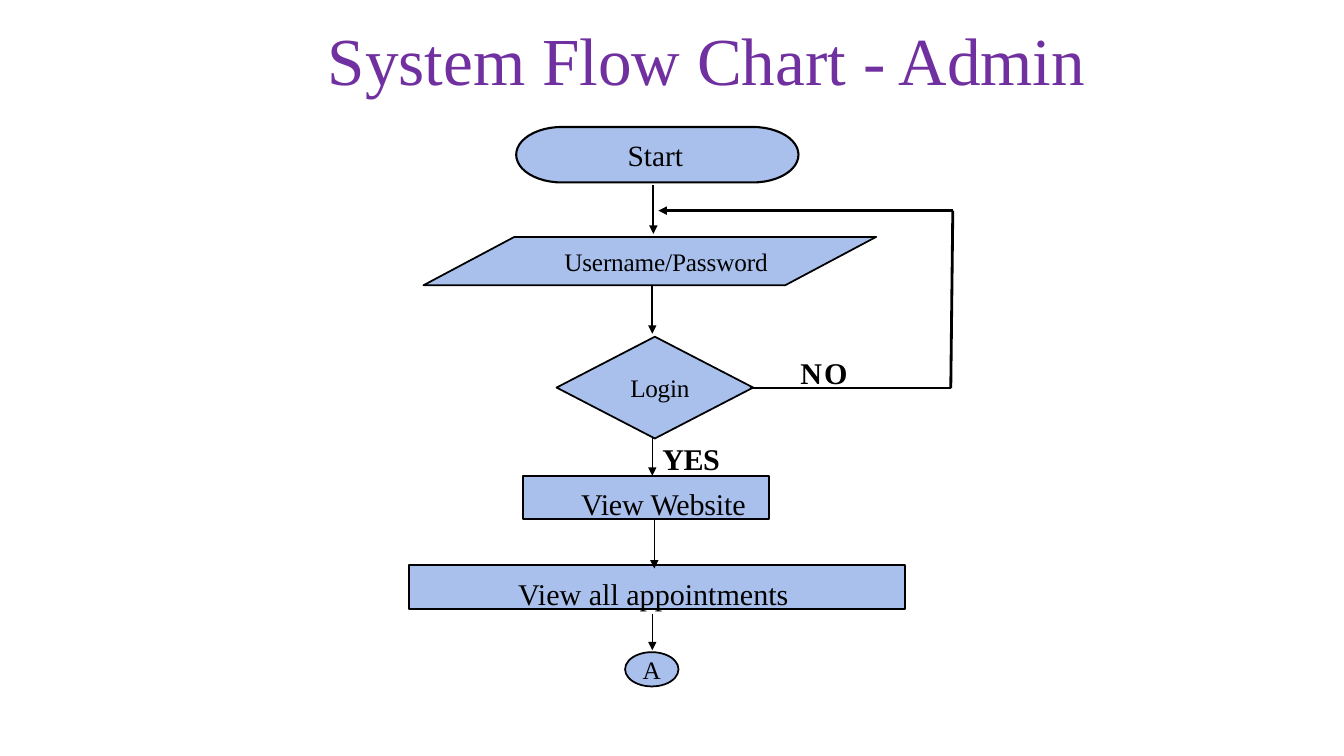
"""Draws the admin system flow chart on a grid of 0.1 inch cells."""
import dataclasses

import lxml.etree
import pptx
import pptx.dml.color
import pptx.enum.shapes
import pptx.enum.text
import pptx.oxml.ns
import pptx.util

COLUMNS, ROWS = 133.3, 75
SLIDE_WIDTH, SLIDE_HEIGHT = pptx.util.Inches(13.33), pptx.util.Inches(7.5)
SHAPES = pptx.enum.shapes.MSO_SHAPE
ALIGN = pptx.enum.text.PP_ALIGN
ANCHOR = pptx.enum.text.MSO_ANCHOR
qn = pptx.oxml.ns.qn


@dataclasses.dataclass(frozen=True)
class Theme:
    font: str = "Times New Roman"
    title: str = "7030A0"
    ink: str = "000000"
    node: str = "A9C0EC"
    title_size: float = 48
    large: float = 21.5
    start: float = 21
    small: float = 18
    outline: float = 1.5
    thin_outline: float = 1.25
    flow: float = 0.75
    hairline: float = 0


THEME = Theme()


def column(count):
    return round(SLIDE_WIDTH * count / COLUMNS)


def row(count):
    return round(SLIDE_HEIGHT * count / ROWS)


def apply(target, formats):
    for name, value in formats.items():
        setattr(target, name, value)


def color(code):
    return pptx.dml.color.RGBColor.from_string(code)


def write(frame, words, size, ink=THEME.ink, bold=False, spacing=0,
          align=ALIGN.CENTER, anchor=ANCHOR.MIDDLE, insets=(0, 0, 0), wrap=False):
    left, top, right = insets
    apply(frame, {
        "word_wrap": wrap, "auto_size": pptx.enum.text.MSO_AUTO_SIZE.NONE,
        "vertical_anchor": anchor, "margin_left": column(left),
        "margin_top": row(top), "margin_right": column(right), "margin_bottom": 0,
    })
    paragraph = frame.paragraphs[0]
    paragraph.alignment = align
    run = paragraph.add_run()
    run.text = words
    apply(run.font, {"name": THEME.font, "size": pptx.util.Pt(size), "bold": bold})
    run.font.color.rgb = color(ink)
    if spacing:
        run.font._element.set("spc", str(round(spacing * 100)))


def add_title(slide, words, box):
    left, top, width, height = box
    title = slide.shapes.title
    apply(title, {"left": column(left), "top": row(top),
                  "width": column(width), "height": row(height)})
    write(title.text_frame, words, THEME.title_size, THEME.title, align=ALIGN.LEFT,
          anchor=ANCHOR.TOP, insets=(1, 0.5, 1), wrap=True)


def add_node(slide, kind, box, words, size, outline, slant=None, **text_format):
    left, top, width, height = box
    node = slide.shapes.add_shape(kind, column(left), row(top), column(width), row(height))
    node.shadow.inherit = False
    node.fill.solid()
    node.fill.fore_color.rgb = color(THEME.node)
    node.line.color.rgb = color(THEME.ink)
    node.line.width = pptx.util.Pt(outline)
    if slant:
        node.adjustments[0] = slant
    write(node.text_frame, words, size, **text_format)


def add_branch_label(slide, words, box, spacing):
    left, top, width, height = box
    label = slide.shapes.add_textbox(column(left), row(top), column(width), row(height))
    write(label.text_frame, words, THEME.large, bold=True, spacing=spacing,
          align=ALIGN.LEFT, anchor=ANCHOR.TOP, insets=(0.1, 0.35, 0))


def add_flow(slide, start, end, weight, arrow=True):
    flow = slide.shapes.add_connector(
        pptx.enum.shapes.MSO_CONNECTOR.STRAIGHT,
        column(start[0]), row(start[1]), column(end[0]), row(end[1]))
    flow.line.color.rgb = color(THEME.ink)
    flow.line.width = pptx.util.Pt(weight)
    if arrow:
        line = flow.line._get_or_add_ln()
        lxml.etree.SubElement(line, qn("a:tailEnd"), type="triangle")
    lxml.etree.SubElement(flow._element.spPr, qn("a:effectLst"))


def main():
    deck = pptx.Presentation()
    apply(deck, {"slide_width": SLIDE_WIDTH, "slide_height": SLIDE_HEIGHT})
    slide = deck.slides.add_slide(deck.slide_layouts[5])
    add_title(slide, "System Flow Chart - Admin", (31.5, 1.3, 84.6, 8.6))

    add_node(slide, SHAPES.FLOWCHART_TERMINATOR, (51.2, 12.6, 28, 5.5), "Start",
             THEME.start, THEME.outline, insets=(0, 0, 0.4))
    add_node(slide, SHAPES.PARALLELOGRAM, (42, 23.5, 44.9, 4.8), "Username/Password",
             THEME.small, THEME.thin_outline, slant=1.88, spacing=-0.1, insets=(3.2, 0, 0))
    add_node(slide, SHAPES.DIAMOND, (55.2, 33.4, 19.5, 10.1), "Login",
             THEME.small, THEME.thin_outline, spacing=-0.2, insets=(1, 0, 0))
    step = {"size": THEME.large, "outline": THEME.outline, "anchor": ANCHOR.TOP}
    add_node(slide, SHAPES.RECTANGLE, (51.9, 47.2, 24.4, 4.3), "View Website",
             spacing=-0.1, insets=(3.4, 1, 0), **step)
    add_node(slide, SHAPES.RECTANGLE, (40.6, 56.1, 49.2, 4.3), "View all appointments",
             insets=(0, 1, 0.8), **step)
    add_node(slide, SHAPES.OVAL, (62, 64.7, 5.3, 3.4), "A",
             THEME.small, THEME.thin_outline, spacing=-0.5)

    for across, top, bottom, weight in (
            (64.8, 18.4, 23.2, THEME.outline), (64.7, 28.3, 33.1, THEME.outline),
            (64.7, 43.5, 47.2, THEME.flow), (64.9, 51.5, 56.4, THEME.flow),
            (64.7, 60.9, 64.5, THEME.flow)):
        add_flow(slide, (across, top), (across, bottom), weight)

    retry = [(74.4, 38.5), (94.3, 38.5), (94.5, 20.9), (65.3, 20.9)]
    for start, end in zip(retry, retry[1:]):
        add_flow(slide, start, end, THEME.hairline, arrow=end == retry[-1])

    add_branch_label(slide, "NO", (79.3, 34.8, 5.3, 3.7), spacing=1.4)
    add_branch_label(slide, "YES", (65.6, 43.3, 6, 3.7), spacing=-0.3)
    deck.save("out.pptx")


if __name__ == "__main__":
    main()
